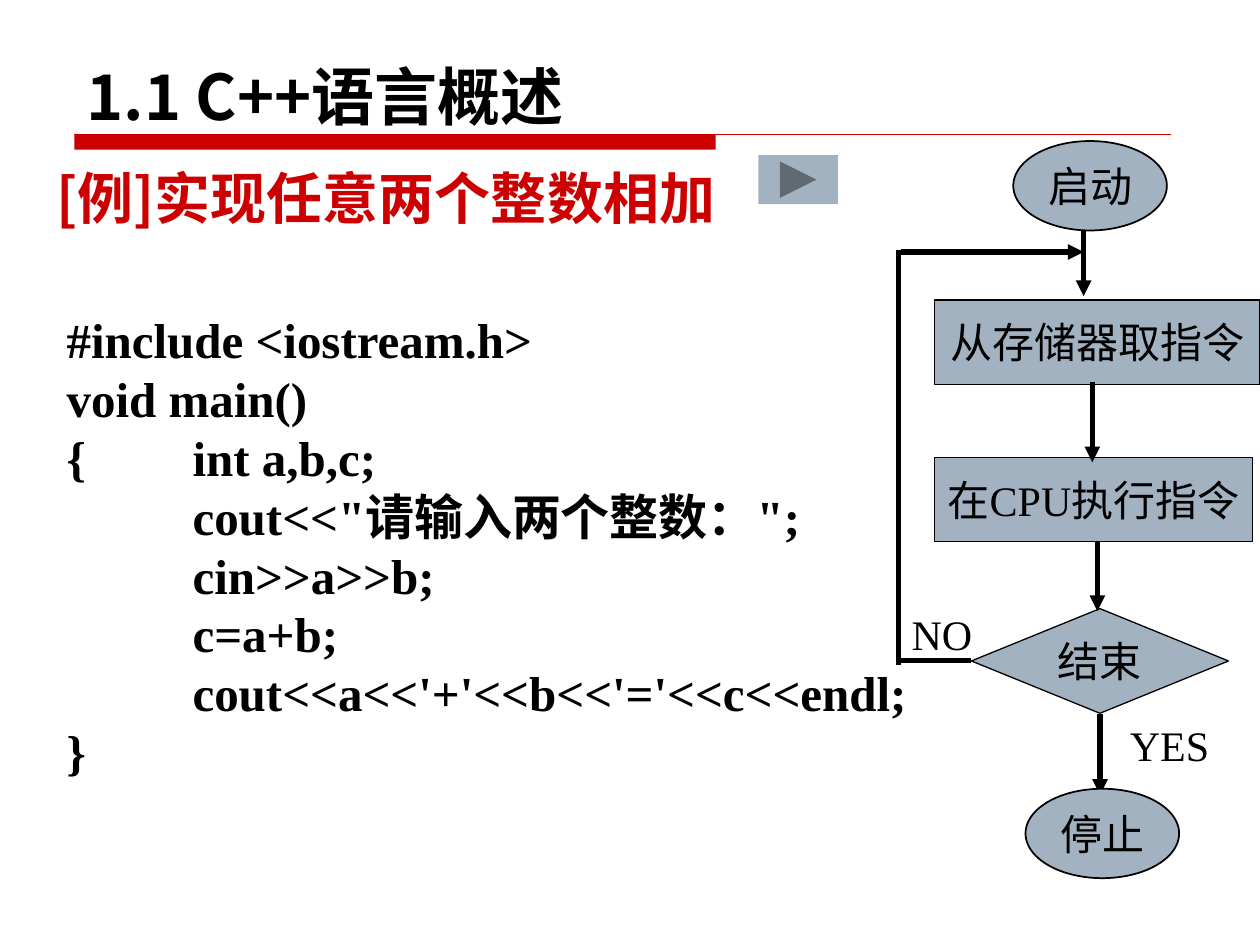
from lxml import etree
from pptx import Presentation
from pptx.dml.color import RGBColor
from pptx.enum import shapes, text
from pptx.oxml import ns
from pptx.util import Pt

SANS, SERIF = "Noto Sans CJK SC", "Times New Roman"
RED, STEEL, BLACK = "CC0000", "A3B2C1", "000000"
KIND = shapes.MSO_SHAPE
CODE = """#include <iostream.h>
void main()
{\tint a,b,c;
\tcout<<"请输入两个整数：";
\tcin>>a>>b;
\tc=a+b;
\tcout<<a<<'+'<<b<<'='<<c<<endl;
}"""


def color(code):
    """Turn a hex string into a colour."""
    return RGBColor.from_string(code)


def child(node, tag, **attrs):
    """Append a drawing element with attributes."""
    return etree.SubElement(node, ns.qn(tag), attrs)


def write(shape, words, size=24, font=SERIF, ink=BLACK, bold=False,
          center=True, middle=True, wrap=False, pitch=None, tab=None, top=3.6):
    """Fill a shape with formatted paragraphs."""
    frame = shape.text_frame
    frame.word_wrap = wrap
    frame.margin_top = Pt(top)
    anchor = text.MSO_ANCHOR
    frame.vertical_anchor = anchor.MIDDLE if middle else anchor.TOP
    for i, line in enumerate(words.split("\n")):
        para = frame.add_paragraph() if i else frame.paragraphs[0]
        para.alignment = text.PP_ALIGN.CENTER if center else text.PP_ALIGN.LEFT
        if pitch:
            para.line_spacing = Pt(pitch)
        if tab:
            tabs = child(para._p.get_or_add_pPr(), "a:tabLst")
            child(tabs, "a:tab", pos=str(Pt(tab)), algn="l")
        run = para.add_run()
        run.text = line
        run.font.size, run.font.bold = Pt(size), bold
        run.font.name = font
        run.font.color.rgb = color(ink)
        child(run._r.get_or_add_rPr(), "a:ea", typeface=SANS)


def label(slide, x, y, w, h, words, **form):
    """Add a text box."""
    write(slide.shapes.add_textbox(Pt(x), Pt(y), Pt(w), Pt(h)), words, **form)


def block(slide, kind, x, y, w, h, fill=STEEL, edge=None):
    """Add a flat preset shape."""
    shape = slide.shapes.add_shape(kind, Pt(x), Pt(y), Pt(w), Pt(h))
    shape.shadow.inherit = False
    shape.fill.solid()
    shape.fill.fore_color.rgb = color(fill)
    if edge:
        shape.line.color.rgb = color(BLACK)
        shape.line.width = Pt(edge)
    else:
        shape.line.fill.background()
    return shape


def rule(slide, x1, y1, x2, y2, ink=BLACK, width=3, arrow=False):
    """Add a straight line or arrow."""
    line = slide.shapes.add_connector(
        shapes.MSO_CONNECTOR.STRAIGHT, Pt(x1), Pt(y1), Pt(x2), Pt(y2))
    line.line.color.rgb = color(ink)
    line.line.width = Pt(width)
    if arrow:
        child(line.line._get_or_add_ln(), "a:tailEnd", type="triangle")
    child(line._element.spPr, "a:effectLst")


def header(slide, x, y, w):
    """Place the title above its red bar and rule."""
    base = y + 51
    block(slide, KIND.RECTANGLE, x, base, 366.5, 8.6, fill=RED)
    rule(slide, x, base, x + w, base, ink=RED, width=0.75)
    label(slide, x, y, 561.6, 50.4, "1.1 C++语言概述", size=36, font=SANS,
          bold=True, center=False, middle=False, wrap=True, pitch=43.2, top=7)


def example(slide, x, y):
    """Place the example heading, its button and the code."""
    form = dict(bold=True, center=False, middle=False, wrap=True)
    label(slide, x, y, 408.2, 84.2, "[例]实现任意两个整数相加", size=32,
          font=SANS, ink=RED, pitch=38.4, top=5, **form)
    block(slide, KIND.ACTION_BUTTON_FORWARD_OR_NEXT, x + 408.2, y, 45.4, 28.1)
    label(slide, x + 5.8, y + 85, 499, 276.5, CODE, size=28,
          pitch=33.6, tab=72, **form)


def flow(slide, x, y):
    """Place the flow chart."""
    lines = [
        (3.9, 297.3, 47.1, 297.3, False),
        (5.4, 62.6, 5.4, 300.2, False),
        (6.8, 64, 111.2, 64, True),
        (111.2, 43.8, 111.2, 89.2, True),
        (116.2, 138.2, 116.2, 184.2, True),
        (119.1, 229.6, 119.1, 269.2, True),
        (120.6, 328.2, 120.6, 374.3, True),
    ]
    steps = [
        (KIND.FLOWCHART_PROCESS, 26.2, 91.4, 185.8, 48.2, 0.75, "从存储器取指令"),
        (KIND.FLOWCHART_PROCESS, 26.2, 181.4, 181.4, 48.2, 0.75, "在CPU执行指令"),
        (KIND.FLOWCHART_DECISION, 47.1, 267.8, 146.9, 59.8, 0.75, "结束"),
        (KIND.OVAL, 71, 0.6, 87.8, 51.1, 1, "启动"),
        (KIND.OVAL, 78, 370.7, 87.8, 51.1, 1, "停止"),
    ]

    def place(kind, left, top, w, h, edge, words):
        """Add one step of the chart."""
        write(block(slide, kind, x + left, y + top, w, h, edge=edge), words)

    for step in steps[:3]:
        place(*step)
    for x1, y1, x2, y2, arrow in lines:
        rule(slide, x + x1, y + y1, x + x2, y + y2, arrow=arrow)
    for step in steps[3:]:
        place(*step)
    label(slide, x + 0.3, y + 268.5, 59.8, 27.4, "NO")
    label(slide, x + 130.6, y + 327.5, 59.8, 36, "YES",
          center=False, middle=False)


def main():
    """Build and save the slide."""
    deck = Presentation()
    deck.slide_width, deck.slide_height = Pt(720), Pt(540)
    slide = deck.slides.add_slide(deck.slide_layouts[6])
    header(slide, 42.5, 26, 626.4)
    flow(slide, 508, 80)
    example(slide, 25.2, 88.6)
    deck.save("out.pptx")


if __name__ == "__main__":
    main()
